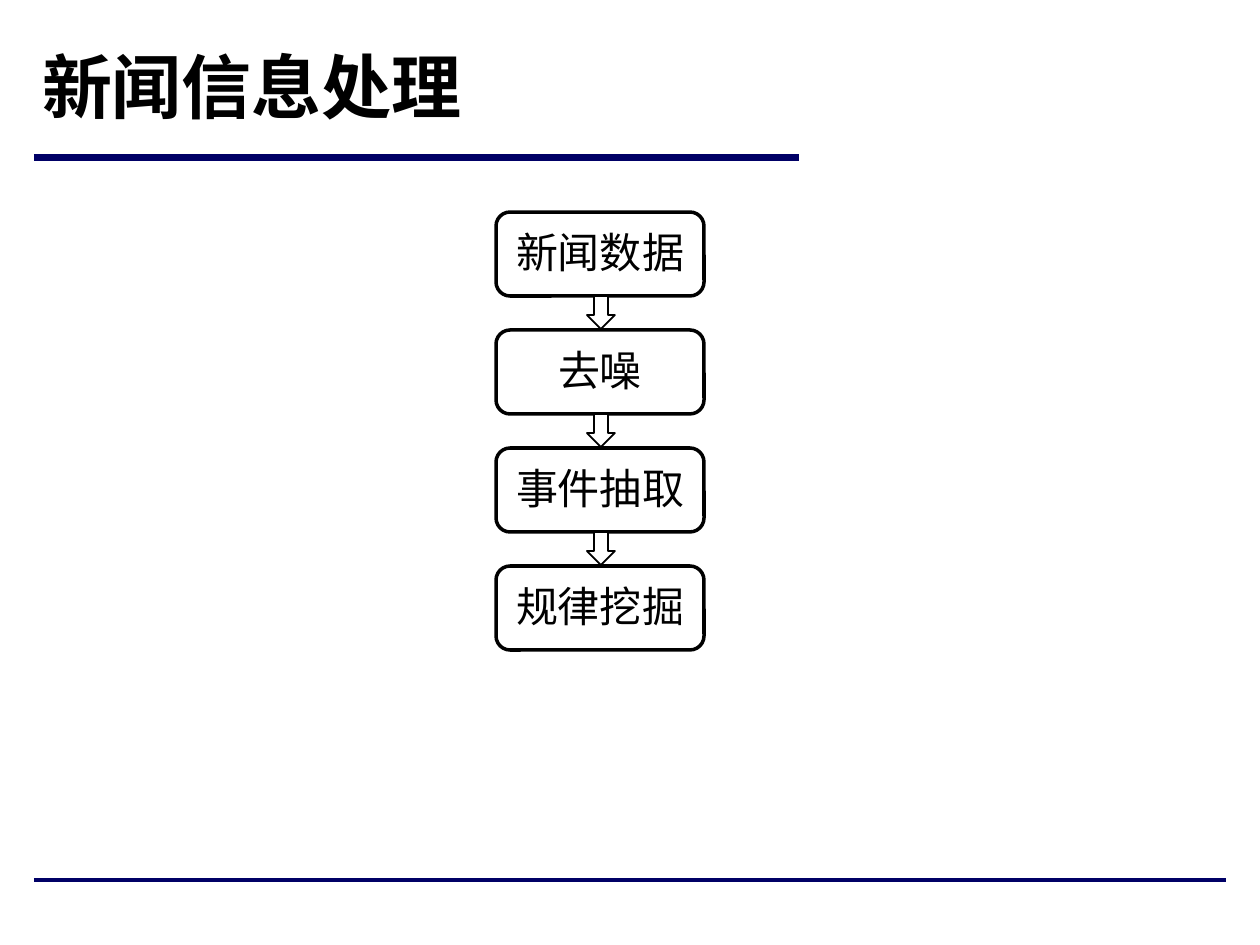
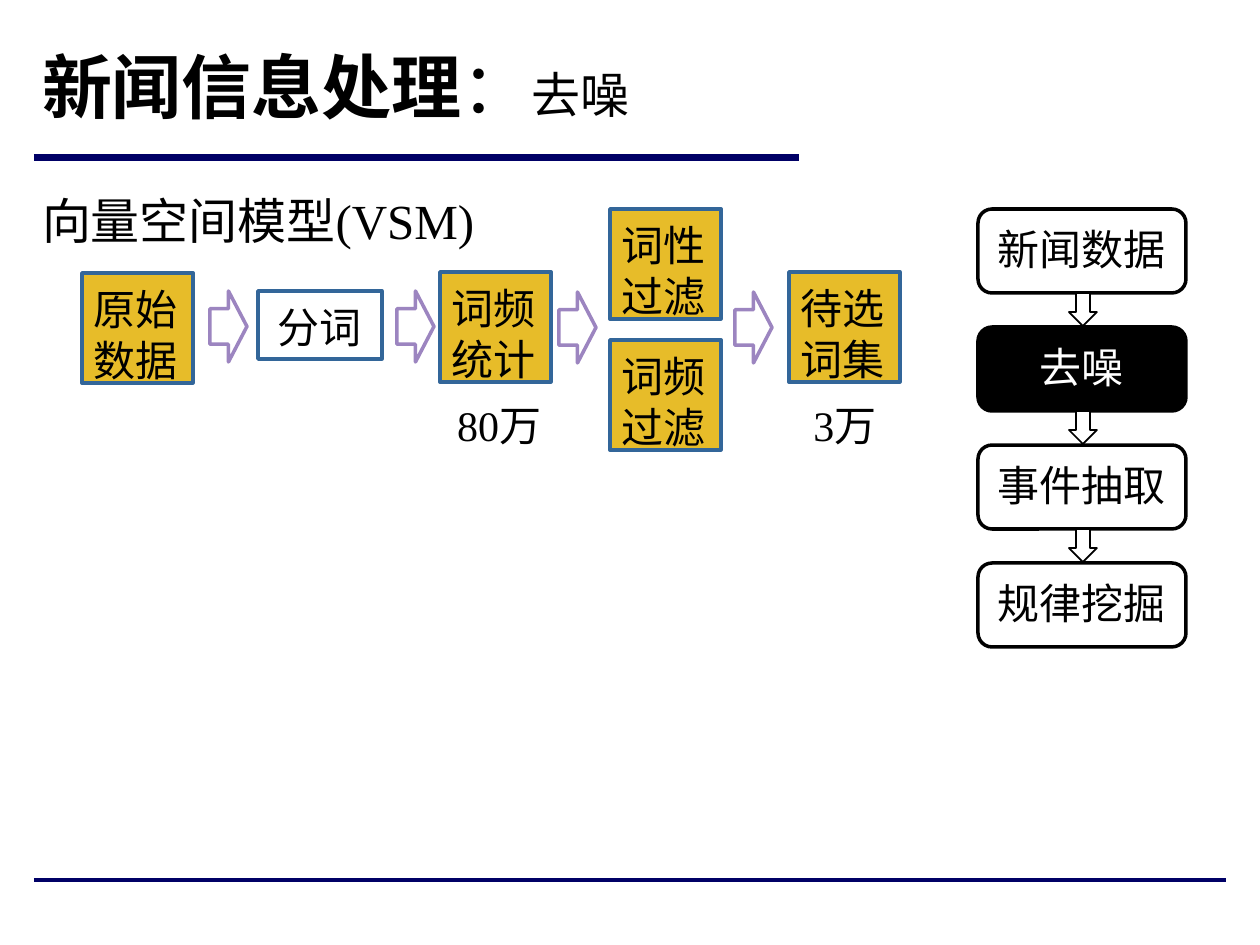
from pptx import Presentation
from pptx import util as u
from pptx.dml.color import RGBColor
from pptx.enum import shapes, text
from pptx.oxml.ns import qn
from lxml import etree

# Shared style
PX = 914400 / 126
HAN, LATIN = "Noto Sans CJK SC", "Times New Roman"
BLACK, WHITE, NAVY = "000000", "FFFFFF", "000066"
GOLD, BLUE, MAUVE = "E7BC29", "336699", "9C85C0"
KIND = shapes.MSO_SHAPE
LEFT, MID = text.PP_ALIGN.LEFT, text.PP_ALIGN.CENTER
RULES = [(34, 799, 158, 4), (34, 1226, 880, 2)]  # left, right, y, weight

# Content
STEPS = ["新闻数据", "去噪", "事件抽取", "规律挖掘"]
HEAD = ("新闻信息处理", 40, True)
SLIDES = [
    dict(title=[HEAD], left=496, top=212, active=None),
    dict(title=[HEAD, ("：", 40, False), ("去噪", 28, False)],
         left=978, top=209, active="去噪"),
]
TILES = [("原始数据", 82, 273), ("词频统计", 440, 272), ("词性过滤", 610, 209),
         ("词频过滤", 610, 340), ("待选词集", 789, 272)]
FLOW = [(210, 291), (397, 291), (559, 292), (735, 292)]
NOTES = [("向量空间模型(VSM)", 30, 180, 1203, 694, 28, LEFT),
         ("80万", 438, 389, 122, 63, 24, MID),
         ("3万", 784, 389, 122, 63, 24, MID)]


def px(*vals):
    return [u.Emu(round(v * PX)) for v in vals]


def tint(code):
    return RGBColor.from_string(code)


def add_run(para, words, size, color=BLACK, bold=False, face=HAN):
    run = para.add_run()
    run.text = words
    font = run.font
    font.name, font.size, font.bold = face, u.Pt(size), bold
    font.color.rgb = tint(color)
    east = etree.Element(qn("a:ea"), typeface=HAN)
    run._r.rPr.find(qn("a:latin")).addnext(east)


def set_text(shape, words, size, align, color=BLACK, face=HAN):
    frame = shape.text_frame
    frame.word_wrap = True
    frame.vertical_anchor = text.MSO_ANCHOR.TOP
    frame.margin_left, frame.margin_right, frame.margin_top = px(12, 12, 10)
    para = frame.paragraphs[0]
    para.alignment = align
    para.line_spacing = u.Pt(round(size * 1.21))
    add_run(para, words, size, color, face=face)


def add_box(slide, kind, box, fill, line, weight):
    shape = slide.shapes.add_shape(kind, *px(*box))
    shape.shadow.inherit = False
    shape.fill.solid()
    shape.fill.fore_color.rgb = tint(fill)
    shape.line.color.rgb = tint(line)
    shape.line.width = u.Pt(weight)
    return shape


def add_frame(deck, runs):
    """Slide with its title and the two rules."""
    slide = deck.slides.add_slide(deck.slide_layouts[5])
    for left, right, y, weight in RULES:
        rule = slide.shapes.add_connector(
            shapes.MSO_CONNECTOR.STRAIGHT, *px(left, y, right, y))
        rule.line.color.rgb = tint(NAVY)
        rule.line.width = u.Pt(weight)
        etree.SubElement(rule._element.spPr, qn("a:effectLst"))
    title = slide.shapes.title
    title.left, title.top, title.width, title.height = px(30, 35, 853, 101)
    frame = title.text_frame
    frame.auto_size = text.MSO_AUTO_SIZE.NONE
    frame.word_wrap = True
    frame.vertical_anchor = text.MSO_ANCHOR.MIDDLE
    frame.margin_left, frame.margin_top, frame.margin_bottom = px(12, 0, 0)
    para = frame.paragraphs[0]
    para.alignment = LEFT
    for words, size, bold in runs:
        add_run(para, words, size, bold=bold)
    return slide


def add_steps(slide, left, top, active):
    """Column of steps with an arrow in each gap."""
    wide, high, pitch = 208, 84, 118
    for i, step in enumerate(STEPS):
        y = top + i * pitch
        fill, ink = (BLACK, WHITE) if step == active else (WHITE, BLACK)
        box = add_box(slide, KIND.ROUNDED_RECTANGLE, (left, y, wide, high),
                      fill, BLACK, 2)
        set_text(box, step, 24, MID, ink)
    for i in range(len(STEPS) - 1):
        y = top + i * pitch + high
        add_box(slide, KIND.DOWN_ARROW, (left + 91, y, 28, 33), WHITE, BLACK, 1)


def add_flow(slide):
    """Noise removal from raw data to the chosen words."""
    for words, x, y in TILES:
        tile = add_box(slide, KIND.RECTANGLE, (x, y, 111, 110), GOLD, BLUE, 2)
        set_text(tile, words, 24, LEFT)
    split = add_box(slide, KIND.RECTANGLE, (258, 291, 124, 68), WHITE, BLUE, 2)
    set_text(split, "分词", 24, MID)
    for x, y in FLOW:
        add_box(slide, KIND.RIGHT_ARROW, (x, y, 37, 71), WHITE, MAUVE, 2)
    for words, x, y, wide, high, size, align in NOTES:
        note = slide.shapes.add_textbox(*px(x, y, wide, high))
        set_text(note, words, size, align, face=LATIN)


def main():
    deck = Presentation()
    deck.slide_width, deck.slide_height = px(1260, 945)
    for page in SLIDES:
        slide = add_frame(deck, page["title"])
        add_steps(slide, page["left"], page["top"], page["active"])
        if page["active"]:
            add_flow(slide)
    deck.save("out.pptx")


if __name__ == "__main__":
    main()
